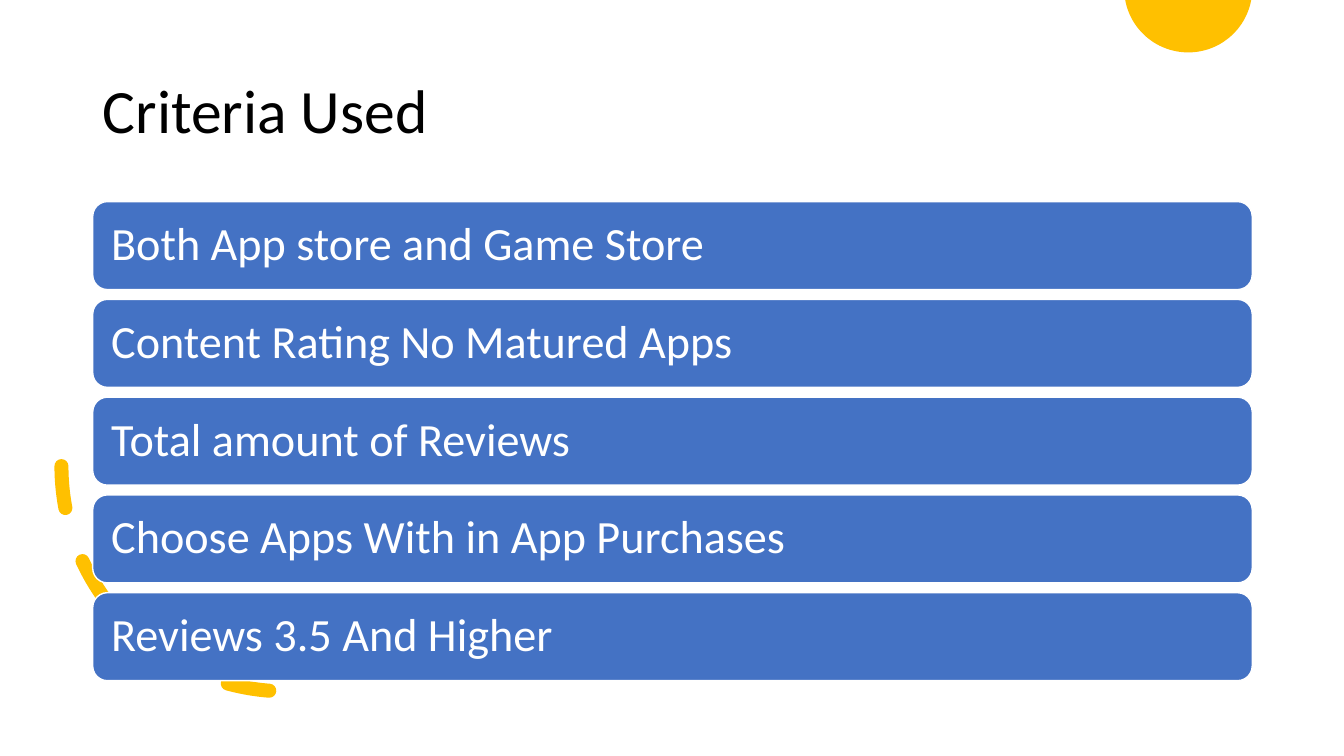
from dataclasses import dataclass
from math import asin, cos, pi, sin

from pptx import Presentation
from pptx.dml.color import RGBColor
from pptx.enum.dml import MSO_LINE
from pptx.enum.shapes import MSO_SHAPE
from pptx.enum.text import MSO_ANCHOR, MSO_AUTO_SIZE, PP_ALIGN
from pptx.util import Inches, Pt

ARC, ROUND = MSO_SHAPE.ARC, MSO_SHAPE.ROUNDED_RECTANGLE
DASH = MSO_LINE.DASH
MIDDLE, LEFT = MSO_ANCHOR.MIDDLE, PP_ALIGN.LEFT
NO_FIT = MSO_AUTO_SIZE.NONE

WIDE, HIGH = 13.33, 7.5
ITEMS = [
    "Both App store and Game Store",
    "Content Rating No Matured Apps",
    "Total amount of Reviews",
    "Choose Apps With in App Purchases",
    "Reviews 3.5 And Higher",
]


@dataclass(frozen=True)
class Theme:
    font: str = "Calibri"
    gold: RGBColor = RGBColor(0xFF, 0xC0, 0x00)
    blue: RGBColor = RGBColor(0x44, 0x72, 0xC4)
    white: RGBColor = RGBColor(0xFF, 0xFF, 0xFF)
    black: RGBColor = RGBColor(0, 0, 0)
    head: int = 44
    item: int = 33


THEME = Theme()


def write(shape, text, size, color):
    frame = shape.text_frame
    frame.text = text
    frame.word_wrap = True
    frame.auto_size = NO_FIT
    frame.vertical_anchor = MIDDLE
    para = frame.paragraphs[0]
    para.alignment = LEFT
    para.line_spacing = 0.9
    para.font.name = THEME.font
    para.font.size = Pt(size)
    para.font.color.rgb = color
    return frame


def add_title(slide, box, text):
    title = slide.shapes.title
    title.left, title.top, title.width, title.height = map(Inches, box)
    write(title, text, THEME.head, THEME.black)


def add_disc(slide, box):
    left, top, width, height = box
    half = width / 2
    radius = (half ** 2 + height ** 2) / (2 * height)
    mid_x, mid_y = left + half, top + height - radius
    start = asin((top - mid_y) / radius)
    steps = 60
    turns = [start + (pi - 2 * start) * i / steps for i in range(steps + 1)]
    rim = [(Inches(mid_x + radius * cos(t)), Inches(mid_y + radius * sin(t)))
           for t in turns]
    path = slide.shapes.build_freeform(*rim[0])
    path.add_line_segments(rim[1:], close=True)
    disc = path.convert_to_shape()
    disc.shadow.inherit = False
    disc.fill.solid()
    disc.fill.fore_color.rgb = THEME.gold
    disc.line.fill.background()


def add_arc(slide, box):
    arc = slide.shapes.add_shape(ARC, *map(Inches, box))
    arc.shadow.inherit = False
    arc.rotation = 90
    arc.element.spPr.xfrm.set("flipV", "1")
    arc.fill.background()
    arc.line.color.rgb = THEME.gold
    arc.line.width = Pt(10)
    arc.line.dash_style = DASH
    arc.element.spPr.ln.set("cap", "rnd")


def add_bars(slide, box, items):
    left, top, width, height = box
    pitch = height / len(items)
    for row, text in enumerate(items):
        place = left, top + row * pitch, width, pitch * 0.9
        bar = slide.shapes.add_shape(ROUND, *map(Inches, place))
        bar.shadow.inherit = False
        bar.fill.solid()
        bar.fill.fore_color.rgb = THEME.blue
        bar.line.color.rgb = THEME.white
        bar.line.width = Pt(1)
        frame = write(bar, text, THEME.item, THEME.white)
        frame.margin_left = frame.margin_right = Inches(0.14)
        frame.margin_top = frame.margin_bottom = 0


def main():
    deck = Presentation()
    deck.slide_width, deck.slide_height = Inches(WIDE), Inches(HIGH)
    slide = deck.slides.add_slide(deck.slide_layouts[5])
    left, width = 0.92, 11.5
    add_disc(slide, (11.16, 0, 1.25, 0.52))
    add_title(slide, (left, 0.4, width, 1.45), "Criteria Used")
    add_arc(slide, (0.61, 2.39, 4.47, 4.47))
    add_bars(slide, (left, 2, width, 4.85), ITEMS)
    deck.save("out.pptx")


if __name__ == "__main__":
    main()
